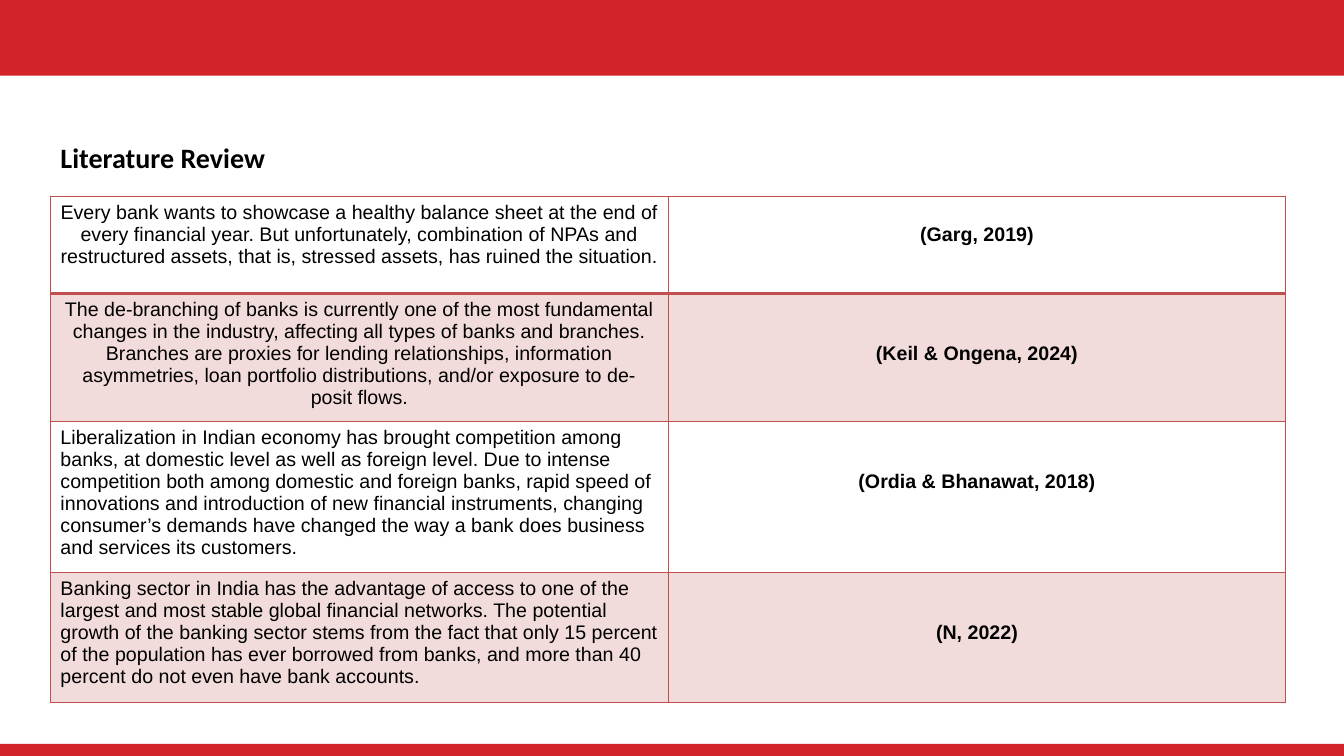
import pptx
import pptx.util
import pptx.oxml
import pptx.oxml.ns
from dataclasses import dataclass
from lxml import etree
from pptx.dml.color import RGBColor
from pptx.enum.shapes import MSO_SHAPE
from pptx.enum.text import MSO_ANCHOR, MSO_AUTO_SIZE, PP_ALIGN

Inches = pptx.util.Inches
Pt = pptx.util.Pt


@dataclass(frozen=True)
class Theme:
    band: str = "D2232A"
    rule: str = "C0504D"
    text: str = "000000"
    tint_alpha: int = 20000
    heading_font: str = "Calibri"
    heading_size: int = 20
    body_font: str = "Arial"
    body_size: int = 14


theme = Theme()


def set_font(paragraph, name, size, bold):
    paragraph.font.name = name
    paragraph.font.size = Pt(size)
    paragraph.font.bold = bold
    paragraph.font.color.rgb = RGBColor.from_string(theme.text)


def add_border(cell, side, width):
    line = etree.SubElement(cell._tc.get_or_add_tcPr(), pptx.oxml.ns.qn(f"a:ln{side}"), w=str(Pt(width)))
    fill = etree.SubElement(line, pptx.oxml.ns.qn("a:solidFill"))
    etree.SubElement(fill, pptx.oxml.ns.qn("a:srgbClr"), val=theme.rule)


deck = pptx.Presentation()
deck.slide_width = Inches(13.33)
deck.slide_height = Inches(7.5)
slide = deck.slides.add_slide(deck.slide_layouts[5])

# Red bands along the top and bottom edges
for top, height in [(0, 0.75), (7.38, 0.12)]:
    band = slide.shapes.add_shape(MSO_SHAPE.RECTANGLE, 0, Inches(top), deck.slide_width, Inches(height))
    band.shadow.inherit = False
    band.fill.solid()
    band.fill.fore_color.rgb = RGBColor.from_string(theme.band)
    band.line.fill.background()

# Heading
heading = slide.shapes.title
heading.left, heading.top = Inches(0.5), Inches(1.34)
heading.width, heading.height = Inches(8.28), Inches(0.44)
heading.text_frame.text = "Literature Review"
heading.text_frame.word_wrap = True
heading.text_frame.auto_size = MSO_AUTO_SIZE.SHAPE_TO_FIT_TEXT
heading.text_frame.vertical_anchor = MSO_ANCHOR.TOP
heading_line = heading.text_frame.paragraphs[0]
heading_line.alignment = PP_ALIGN.LEFT
set_font(heading_line, theme.heading_font, theme.heading_size, True)

# Findings: row height, finding, its alignment, citation, lines above the citation
findings = [
    (0.96, "Every bank wants to showcase a healthy balance sheet at the end of every financial year. "
     "But unfortunately, combination of NPAs and restructured assets, that is, stressed assets, "
     "has ruined the situation.", PP_ALIGN.CENTER, "(Garg, 2019)", 1),
    (1.27, "The de-branching of banks is currently one of the most fundamental changes in the industry, "
     "affecting all types of banks and branches. Branches are proxies for lending relationships, "
     "information asymmetries, loan portfolio distributions, and/or exposure to de- posit flows.",
     PP_ALIGN.CENTER, "(Keil & Ongena, 2024)", 2),
    (1.5, "Liberalization in Indian economy has brought competition among banks, at domestic level as well "
     "as foreign level. Due to intense competition both among domestic and foreign banks, rapid speed of "
     "innovations and introduction of new financial instruments, changing consumer’s demands have changed "
     "the way a bank does business and services its customers.", PP_ALIGN.LEFT, "(Ordia & Bhanawat, 2018)", 2),
    (1.29, "Banking sector in India has the advantage of access to one of the largest and most stable global "
     "financial networks. The potential growth of the banking sector stems from the fact that only 15 percent "
     "of the population has ever borrowed from banks, and more than 40 percent do not even have bank accounts.",
     PP_ALIGN.LEFT, "(N, 2022)", 2),
]

# Review table
review = slide.shapes.add_table(len(findings), 2, Inches(0.5), Inches(1.95), Inches(12.25), Inches(5.02)).table
review.first_row = False
review.horz_banding = False
review.columns[0].width = Inches(6.13)
review.columns[1].width = Inches(6.12)

for row, (height, finding, alignment, citation, lines_above) in enumerate(findings):
    review.rows[row].height = Inches(height)
    entries = [(finding, alignment, False, 0), (citation, PP_ALIGN.CENTER, True, lines_above)]
    for column, (text, align, bold, offset) in enumerate(entries):
        cell = review.cell(row, column)
        cell.text = text
        cell.margin_top = Inches(0.05 + 0.22 * offset)
        entry = cell.text_frame.paragraphs[0]
        entry.alignment = align
        set_font(entry, theme.body_font, theme.body_size, bold)

        # Heavier rule between the first two rows
        for side in "LRTB":
            add_border(cell, side, 2 if (row, side) in [(0, "B"), (1, "T")] else 1)

        # Tint on every second row
        if row % 2:
            cell.fill.solid()
            cell.fill.fore_color.rgb = RGBColor.from_string(theme.rule)
            tint = cell._tc.tcPr.find(pptx.oxml.ns.qn("a:solidFill"))[0]
            etree.SubElement(tint, pptx.oxml.ns.qn("a:alpha"), val=str(theme.tint_alpha))
        else:
            cell.fill.background()

deck.save("out.pptx")
